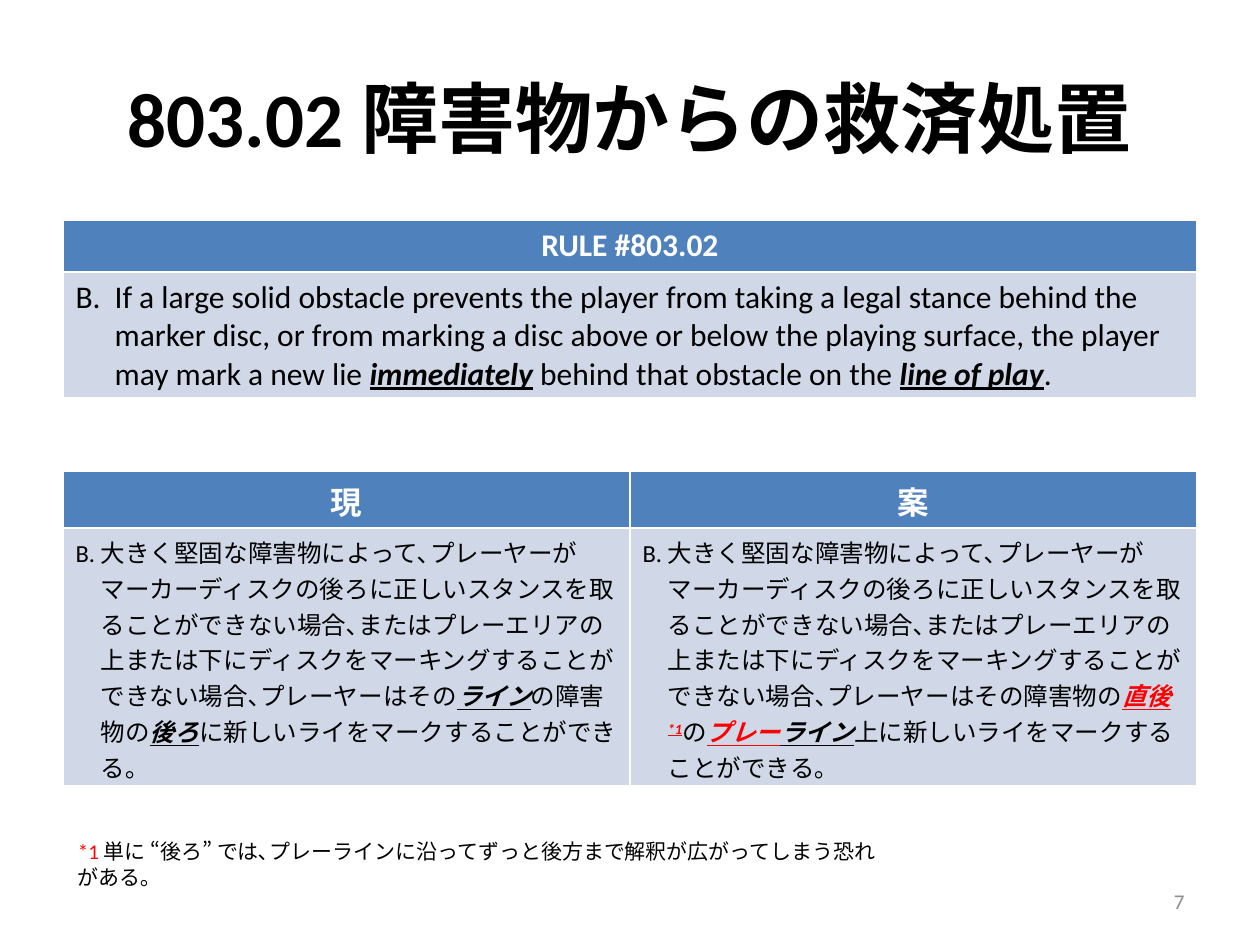
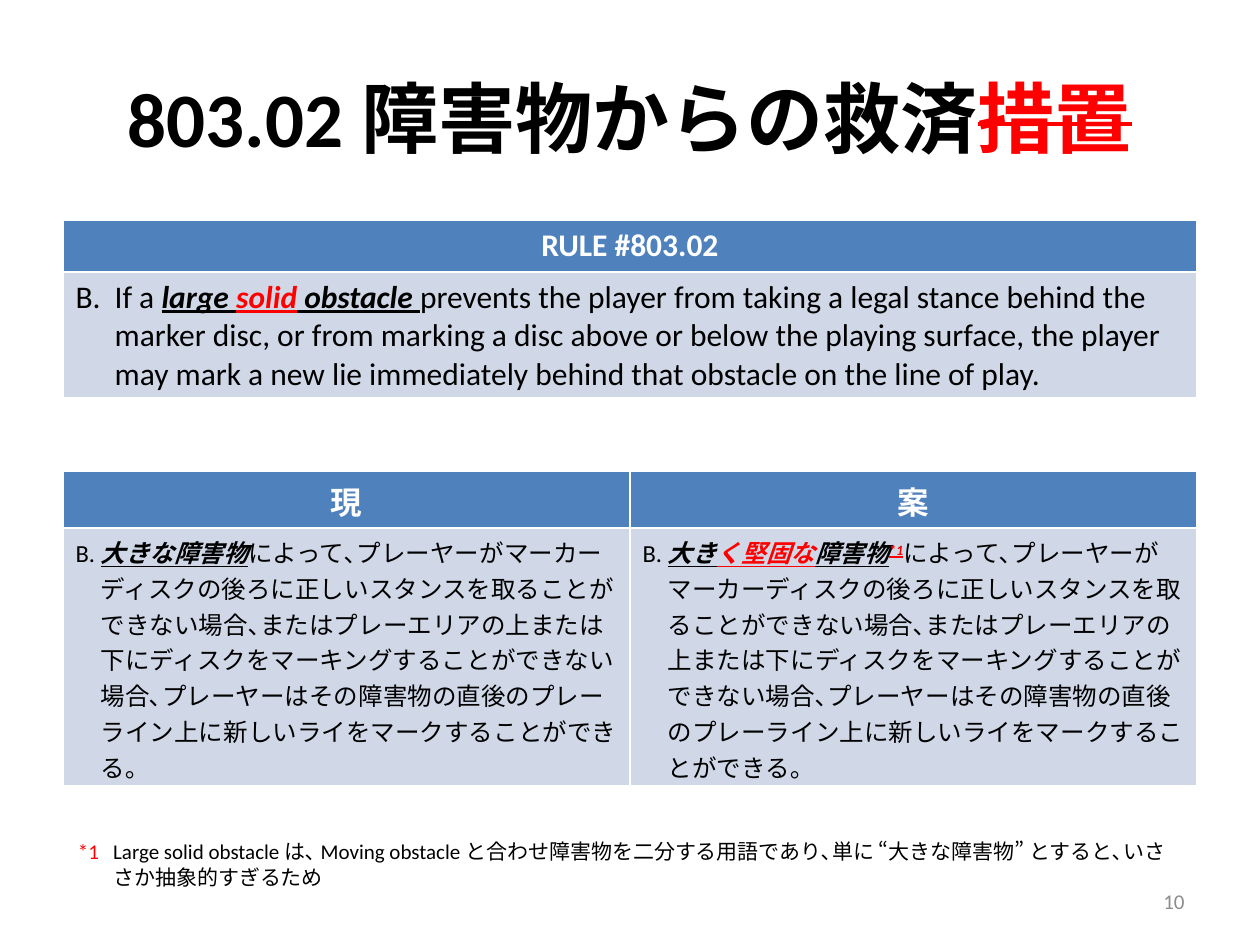
import pptx
import pptx.util
import pptx.dml.color
import pptx.enum.text
import pptx.enum.lang

INK, RED, WHITE, GREY = "000000", "FF0000", "FFFFFF", "8C8C8C"
BLUE, PALE = "4F81BD", "D0D8E8"
ALIGN = pptx.enum.text.PP_ALIGN
MID = pptx.enum.text.MSO_ANCHOR.MIDDLE
LANG = pptx.enum.lang.MSO_LANGUAGE_ID

deck = pptx.Presentation()
deck.slide_width = pptx.util.Inches(10)
deck.slide_height = pptx.util.Inches(7.5)
COL = deck.slide_width // 20
ROW = deck.slide_height // 15


def tint(code):
    return pptx.dml.color.RGBColor.from_string(code)


# Marks: e = stressed, r = red, s = raised, x = struck out, u = bold underlined
def write(frame, runs, size, ink=INK, bold=False, align=ALIGN.LEFT, hang=0):
    frame.word_wrap = True
    para = frame.paragraphs[0]
    para.alignment = align
    para.font.name, para.font.size = "Calibri", pptx.util.Pt(size)
    para.font.bold = bold
    if hang:
        props = para._p.get_or_add_pPr()
        props.set("marL", str(pptx.util.Inches(hang)))
        props.set("indent", str(-pptx.util.Inches(hang)))
    for text, marks in runs:
        run = para.add_run()
        run.text = text
        font = run.font
        font.color.rgb = tint(RED if "r" in marks else ink)
        font.language_id = LANG.ENGLISH_US if text.isascii() else LANG.JAPANESE
        if "e" in marks or "u" in marks:
            font.bold = font.underline = True
            font.italic = "e" in marks
        if "s" in marks:
            run._r.get_or_add_rPr().set("baseline", "30000")
        if "x" in marks:
            run._r.get_or_add_rPr().set("strike", "sngStrike")


NAME = "803.02 障害物からの救済"
BIG = "大きく堅固な障害物"
STANCE = ("によって､プレーヤーがマーカーディスクの後ろに正しいスタンスを取ることができない場合､"
          "またはプレーエリアの上または下にディスクをマーキングすることができない場合､プレーヤーはその")
MARK = "に新しいライをマークすることができる｡"
BEHIND = STANCE + "障害物の直後のプレーライン上" + MARK
RULE = ("prevents the player from taking a legal stance behind the marker disc, or from marking "
        "a disc above or below the playing surface, the player may mark a new lie ")

pages = [
    dict(
        num="7",
        title=[(NAME + "処置", "")],
        rule=[("B.\tIf a large solid obstacle " + RULE, ""), ("immediately", "e"),
              (" behind that obstacle on the ", ""), ("line of play", "e"), (".", "")],
        now=[("B.\t" + BIG + STANCE, ""), ("ライン", "e"), ("の障害物の", ""),
             ("後ろ", "e"), (MARK, "")],
        plan=[("B.\t" + BIG + STANCE + "障害物の", ""), ("直後", "er"), ("*1", "ers"),
              ("の", ""), ("プレー", "er"), ("ライン", "e"), ("上" + MARK, "")],
        note=[("*1 ", "r"),
              ("単に “後ろ” では､プレーラインに沿ってずっと後方まで解釈が広がってしまう恐れがある｡", "")],
        span=13.24, hang=0),
    dict(
        num="10",
        title=[(NAME, ""), ("措置", "rx")],
        rule=[("B.\tIf a ", ""), ("large ", "e"), ("solid", "er"), (" obstacle", "e"),
              (" ", "u"), (RULE + "immediately behind that obstacle on the line of play.", "")],
        now=[("B.\t", ""), ("大きな障害物", "e"), (BEHIND, "")],
        plan=[("B.\t", ""), ("大き", "e"), ("く堅固な", "er"), ("障害物", "e"),
              ("*1", "ers"), (BEHIND, "")],
        note=[("*1", "r"),
              ("\tLarge solid obstacle は､ Moving obstacle と合わせ障害物を二分する用語であり､"
               "単に “大きな障害物” とすると､いささか抽象的すぎるため", "")],
        span=17.96, hang=0.28),
]

for page in pages:
    slide = deck.slides.add_slide(deck.slide_layouts[6])
    texts = [
        (1, 0.6, 18, 2.5, page["title"], 44, INK, True, ALIGN.CENTER, 0),
        (1.04, 13.22, page["span"], 1, page["note"], 12, INK, False, ALIGN.LEFT, page["hang"]),
        (14.34, 13.9, 4.66, 0.8, [(page["num"], "")], 12, GREY, False, ALIGN.RIGHT, 0),
    ]
    for left, top, wide, high, runs, *look in texts:
        box = slide.shapes.add_textbox(
            int(left * COL), int(top * ROW), int(wide * COL), int(high * ROW))
        write(box.text_frame, runs, *look)
        if runs is not page["note"]:
            box.text_frame.vertical_anchor = MID

    grids = [
        (3.5, (0.82, 2), ["RULE #803.02"], [page["rule"]], 18, 0.31),
        (7.48, (0.9, 4.1), ["現", "案"], [page["now"], page["plan"]], 14, 0.2),
    ]
    for top, highs, heads, cells, size, hang in grids:
        table = slide.shapes.add_table(
            2, len(heads), COL, int(top * ROW), 18 * COL, int(sum(highs) * ROW)).table
        for line, high in zip(table.rows, highs):
            line.height = int(high * ROW)
        for i, (head, runs) in enumerate(zip(heads, cells)):
            for j, code in enumerate((BLUE, PALE)):
                fill = table.cell(j, i).fill
                fill.solid()
                fill.fore_color.rgb = tint(code)
            write(table.cell(0, i).text_frame, [(head, "")], 18, WHITE, True, ALIGN.CENTER)
            write(table.cell(1, i).text_frame, runs, size, hang=hang)

deck.save("out.pptx")
